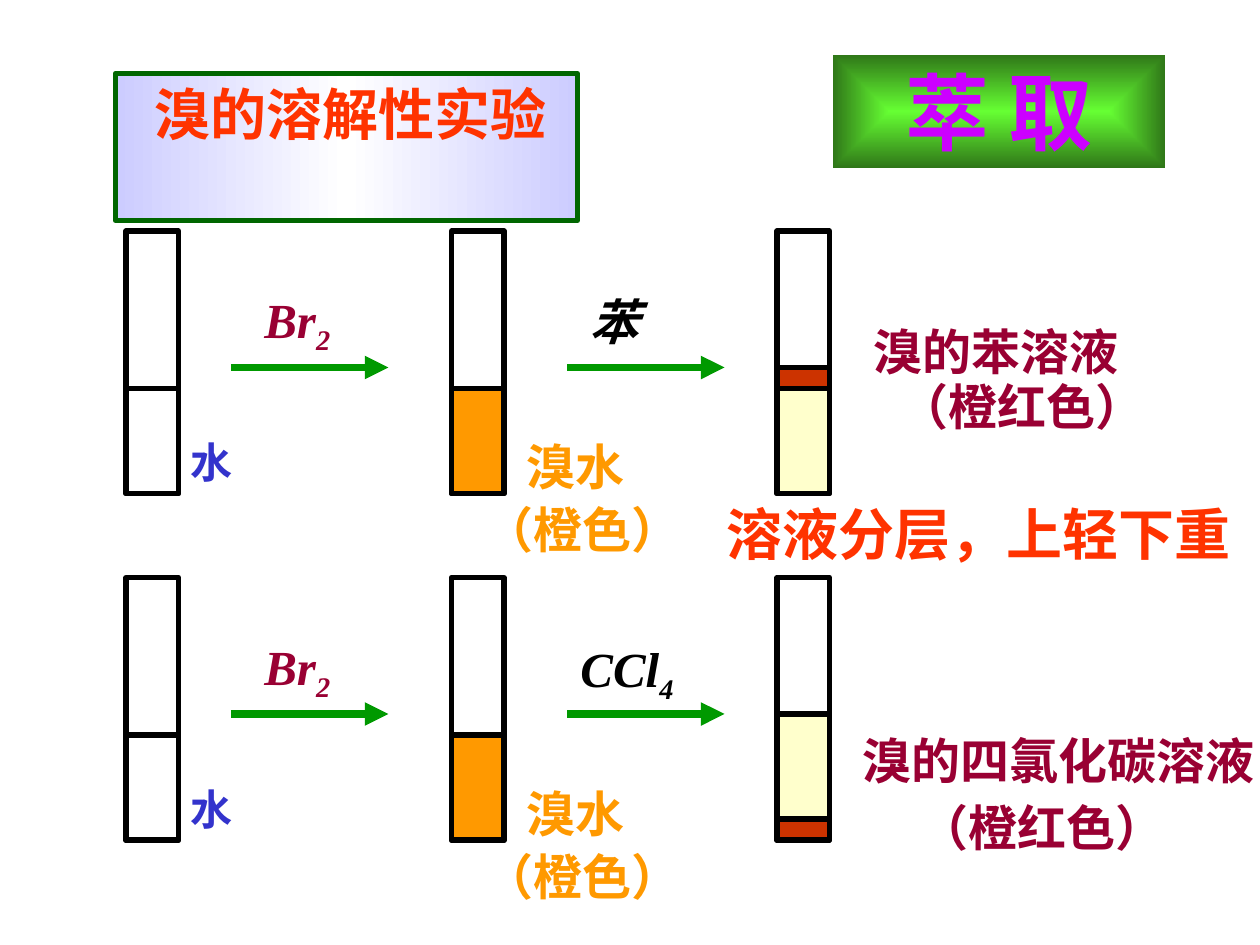
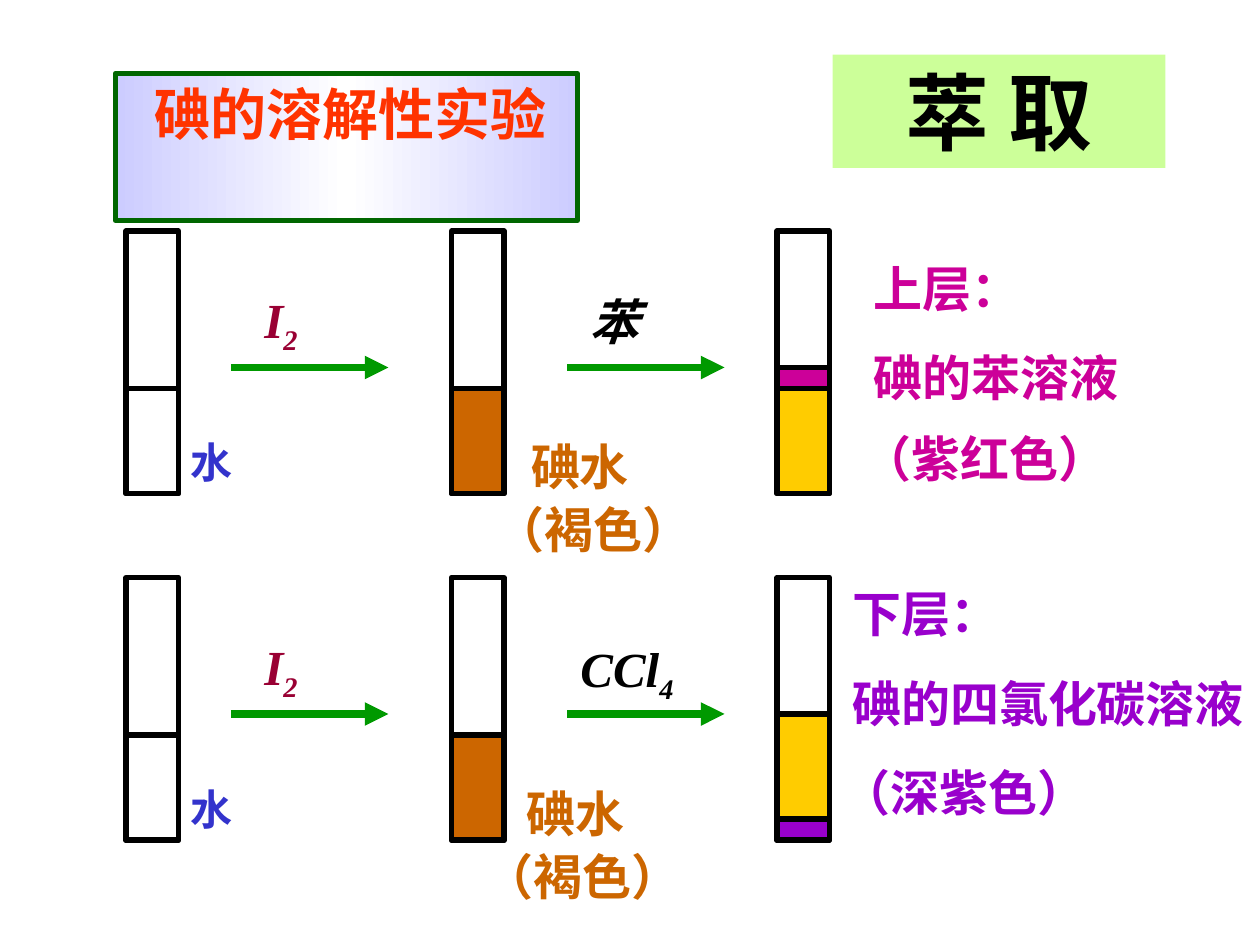
import lxml.etree
import pptx
import pptx.dml.color
import pptx.enum.shapes
import pptx.enum.text
import pptx.oxml.ns
import pptx.util

INK = {
    "black": "000000", "white": "FFFFFF", "lilac": "CCCCFF",
    "frame": "006600", "arrow": "009900", "red": "FF3300",
    "wine": "990033", "blue": "3333CC", "orange": "FF9900",
    "cream": "FFFFCC", "rust": "CC3300", "brown": "CC6600",
    "gold": "FFCC00", "pink": "CC0099", "purple": "9900CC",
    "lime": "66FF33", "moss": "2F7618", "mint": "CCFF99",
    "violet": "CC00FF",
}
COLS, ROWS = 120, 90
STEP = 33
TOP = 22
TUBES = (12, 43, 74)


def tint(name):
    return pptx.dml.color.RGBColor.from_string(INK[name])


def child(node, tag, **keys):
    return lxml.etree.SubElement(node, pptx.oxml.ns.qn(tag), **keys)


class Deck:
    latin = "Times New Roman"
    asian = "Noto Sans CJK SC"

    def __init__(self):
        self.file = pptx.Presentation()
        self.file.slide_width = pptx.util.Inches(10)
        self.file.slide_height = pptx.util.Inches(7.5)
        self.slide = None

    def start(self):
        self.slide = self.file.slides.add_slide(self.file.slide_layouts[5])

    def x(self, col):
        return round(self.file.slide_width * col / COLS)

    def y(self, row):
        return round(self.file.slide_height * row / ROWS)

    def area(self, col, row, wide, high):
        return self.x(col), self.y(row), self.x(wide), self.y(high)

    def font(self, para, size, color, face=None, slant=False):
        font = para.font
        font.name = face or self.latin
        child(font._element, "a:ea", typeface=self.asian)
        font.size = pptx.util.Pt(size)
        font.bold = True
        font.italic = slant
        font.color.rgb = tint(color)

    def blend(self, shape, stops, center=False):
        shape.fill.gradient()
        grad = shape._element.spPr.find(pptx.oxml.ns.qn("a:gradFill"))
        for old in list(grad):
            grad.remove(old)
        marks = child(grad, "a:gsLst")
        for place, name in stops:
            mark = child(marks, "a:gs", pos=str(place * 1000))
            child(mark, "a:srgbClr", val=INK[name])
        if center:
            way = child(grad, "a:path", path="rect")
            child(way, "a:fillToRect", l="50000", t="50000", r="50000", b="50000")
        else:
            child(grad, "a:lin", ang="0", scaled="0")

    def title(self, text):
        shape = self.slide.shapes.title
        shape.left, shape.top, shape.width, shape.height = self.area(11, 7, 44, 14)
        self.blend(shape, [(0, "lilac"), (50, "white"), (100, "lilac")])
        shape.line.color.rgb = tint("frame")
        shape.line.width = pptx.util.Pt(3)
        frame = shape.text_frame
        frame.text = text
        frame.auto_size = pptx.enum.text.MSO_AUTO_SIZE.NONE
        frame.vertical_anchor = pptx.enum.text.MSO_ANCHOR.TOP
        frame.margin_left = pptx.util.Inches(0.31)
        para = frame.paragraphs[0]
        para.alignment = pptx.enum.text.PP_ALIGN.LEFT
        self.font(para, 32, "red")

    def block(self, col, row, wide, high, fill=None):
        shape = self.slide.shapes.add_shape(
            pptx.enum.shapes.MSO_SHAPE.RECTANGLE, *self.area(col, row, wide, high))
        shape.shadow.inherit = False
        if fill:
            shape.fill.solid()
            shape.fill.fore_color.rgb = tint(fill)
        return shape

    def badge(self, text, color, fill=None):
        shape = self.block(79.3, 5.2, 31.7, 10.8, fill)
        if not fill:
            self.blend(shape, [(0, "lime"), (100, "moss")], True)
        shape.line.fill.background()
        frame = shape.text_frame
        frame.text = text
        frame.vertical_anchor = pptx.enum.text.MSO_ANCHOR.MIDDLE
        para = frame.paragraphs[0]
        para.alignment = pptx.enum.text.PP_ALIGN.CENTER
        self.font(para, 48, color, self.asian)

    def tube(self, col, row, *layers):
        for down, high, fill in ((0, 25, "white"), *layers):
            part = self.block(col, row + down, 5, high, fill)
            part.line.color.rgb = tint("black")
            part.line.width = pptx.util.Pt(3)

    def arrow(self, col, row):
        line = self.slide.shapes.add_connector(
            pptx.enum.shapes.MSO_CONNECTOR.STRAIGHT,
            self.x(col), self.y(row), self.x(col + 15), self.y(row))
        line.line.color.rgb = tint("arrow")
        line.line.width = pptx.util.Pt(4.5)
        child(line.line._get_or_add_ln(), "a:tailEnd", type="triangle")
        child(line._element.spPr, "a:effectLst")

    def text(self, col, row, wide, words, color, size=28, slant=False, sub=""):
        high = 7 * len(words.split("\n"))
        box = self.slide.shapes.add_textbox(*self.area(col, row, wide, high))
        frame = box.text_frame
        frame.word_wrap = True
        frame.margin_right = 0
        frame.text = words
        for spot, para in enumerate(frame.paragraphs):
            if spot:
                para.space_before = pptx.util.Pt(17.5)
            self.font(para, size, color, slant=slant)
        if sub:
            run = frame.paragraphs[0].add_run()
            run.text = sub
            run.font._element.set("baseline", "-25000")

    def trial(self, name, agent, sub, water, shade, hue, pale, deep, spots):
        self.title(name)
        for turn, (near, far) in enumerate(spots):
            row = TOP + turn * STEP
            self.tube(TUBES[0], row, (15, 10, "white"))
            self.tube(TUBES[1], row, (15, 10, hue))
            if turn:
                last = (13, 10, pale), (23, 2, deep[turn])
            else:
                last = (15, 10, pale), (13, 2, deep[turn])
            self.tube(TUBES[2], row, *last)
            for col in (22, 54):
                self.arrow(col, row + 13)
            self.text(24, row + 5, 9, agent, "wine", slant=True, sub=sub)
            if turn:
                self.text(54.1, row + 5.2, 15, "CCl", "black", slant=True, sub="4")
            else:
                self.text(55, row + 5.2, 15, "苯", "black", slant=True)
            self.text(17, row + 19, 10, "水", "blue", 24)
            self.text(near, row + 19, 12, water, hue)
            self.text(far, row + 25, 23, shade, hue)


def main():
    deck = Deck()

    deck.start()
    deck.trial("溴的溶解性实验", "Br", "2", "溴水", "（橙色）", "orange",
               "cream", ("rust", "rust"), ((49, 45), (49, 45)))
    deck.text(82, 30, 32, "溴的苯溶液", "wine")
    deck.text(84.5, 35.3, 28.4, "（橙红色）", "wine")
    deck.text(81, 69, 39, "溴的四氯化碳溶液", "wine")
    deck.text(86.4, 75.4, 28.4, "（橙红色）", "wine")
    deck.text(68, 47, 52, "溶液分层，上轻下重", "red", 32)
    deck.badge("萃 取", "violet")

    deck.start()
    deck.trial("碘的溶解性实验", "I", "2", "碘水", "（褐色）", "brown",
               "gold", ("pink", "purple"), ((49.4, 46), (49, 45)))
    deck.text(82, 24, 38, "上层：\n碘的苯溶液", "pink")
    deck.text(81, 40.2, 31, "（紫红色）", "pink")
    deck.text(80, 55, 40, "下层：\n碘的四氯化碳溶液", "purple")
    deck.text(79, 72, 30, "（深紫色）", "purple")
    deck.badge("萃 取", "black", "mint")

    deck.file.save("out.pptx")


if __name__ == "__main__":
    main()
